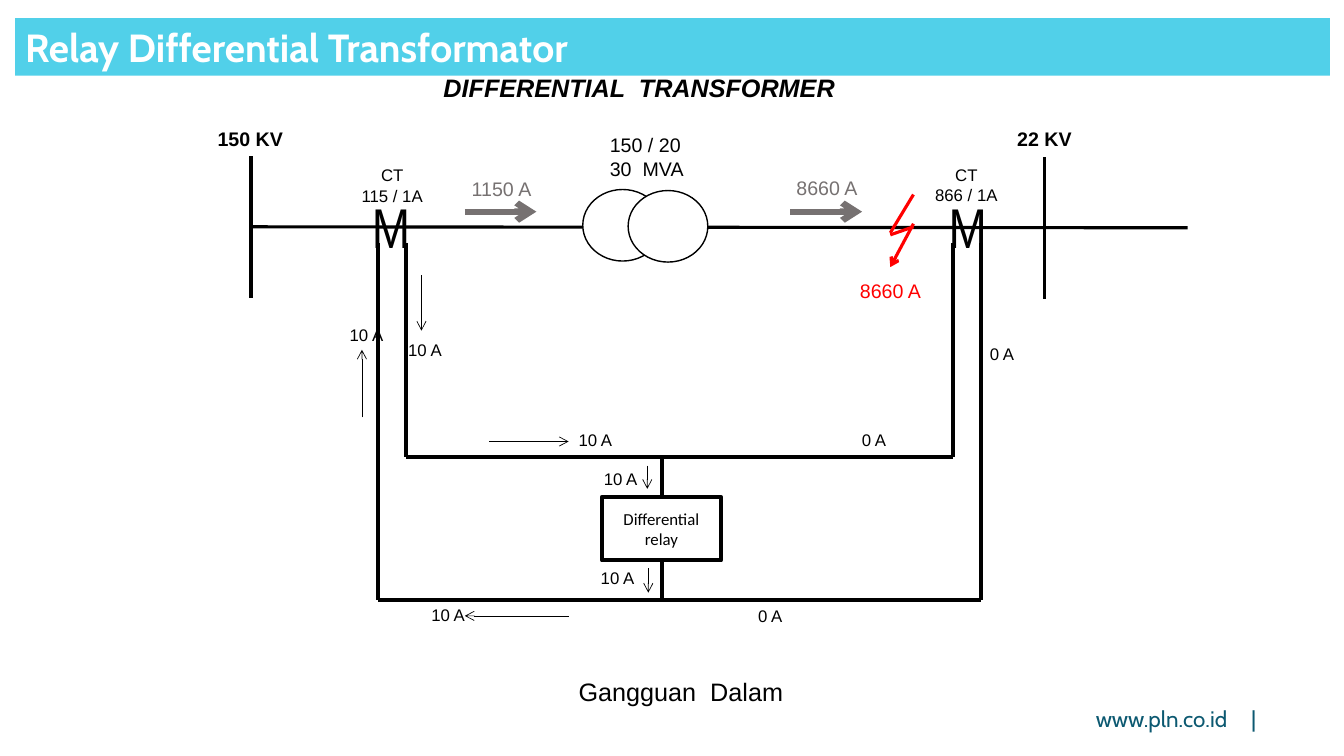
from lxml.etree import SubElement
from pptx import Presentation
from pptx.dml.color import RGBColor
from pptx.enum.shapes import MSO_CONNECTOR, MSO_SHAPE
from pptx.enum.text import MSO_ANCHOR, PP_ALIGN
from pptx.oxml.ns import qn
from pptx.util import Inches, Pt

BLACK, WHITE, GREY, RED = "000000", "FFFFFF", "767171", "FF0000"
BAND, TEAL = "51D0E9", "0C5971"

TITLE = "Relay Differential Transformator"
RELAY = "Differential relay"
HEADINGS = [
    ("DIFFERENTIAL  TRANSFORMER", 4.3, 0.67, 4.12, 0.4, dict(size=18, bold=True, italic=True)),
    ("Gangguan  Dalam", 5.64, 6.66, 2.25, 0.4, dict(size=18)),
    ("150 KV", 2.06, 1.21, 0.86, 0.34, dict(bold=True)),
    ("22 KV", 9.99, 1.21, 0.75, 0.34, dict(bold=True)),
    ("150 / 20\n30  MVA", 5.95, 1.27, 0.94, 0.57, {}),
    ("1150 A", 4.58, 1.71, 0.8, 0.34, dict(color=GREY)),
    ("8660 A", 7.8, 1.7, 0.81, 0.34, dict(color=GREY)),
    ("8660 A", 8.43, 2.72, 0.81, 0.34, dict(color=RED)),
    ("CT\n115 / 1A", 3.48, 1.59, 0.82, 0.5, dict(size=12, align=PP_ALIGN.CENTER)),
    ("CT\n866 / 1A", 9.17, 1.58, 0.83, 0.51, dict(size=12, align=PP_ALIGN.CENTER)),
    ("M", 3.59, 1.86, 0.59, 0.77, dict(size=40, font="Arial Narrow")),
    ("M", 9.31, 1.86, 0.59, 0.77, dict(size=40, font="Arial Narrow")),
    ("www.pln.co.id", 10.77, 6.95, 1.6, 0.37, dict(size=16, font="Cabin", color=TEAL, wrap=True)),
    ("|", 12.31, 6.95, 0.29, 0.37, dict(size=16, font="Cabin", color=TEAL)),
]
CURRENTS = {
    "10 A": [(4.18, 5.95), (3.37, 3.17), (3.95, 3.32), (5.64, 4.21), (5.89, 4.6), (5.86, 5.58)],
    "0 A": [(9.72, 3.36), (7.42, 5.96), (8.45, 4.21)],
}
CURRENT_WIDTHS = {"10 A": 0.54, "0 A": 0.44}

OUTER_LEFT, INNER_LEFT, INNER_RIGHT, OUTER_RIGHT = 3.75, 4.03, 9.45, 9.73
CT_BOTTOM, INNER_BOTTOM, OUTER_BOTTOM, RELAY_X = 2.41, 4.53, 5.95, 6.57

BUSBARS = [(2.49, 2.25, 11.78, 2.26), (2.49, 1.55, 2.49, 2.96), (10.36, 1.56, 10.36, 2.97)]
WIRES = [
    (INNER_LEFT, CT_BOTTOM, INNER_LEFT, INNER_BOTTOM),
    (INNER_RIGHT, CT_BOTTOM, INNER_RIGHT, INNER_BOTTOM),
    (INNER_LEFT, INNER_BOTTOM, INNER_RIGHT, INNER_BOTTOM),
    (OUTER_LEFT, CT_BOTTOM, OUTER_LEFT, OUTER_BOTTOM),
    (OUTER_RIGHT, CT_BOTTOM, OUTER_RIGHT, OUTER_BOTTOM),
    (OUTER_LEFT, OUTER_BOTTOM, OUTER_RIGHT, OUTER_BOTTOM),
    (RELAY_X, INNER_BOTTOM, RELAY_X, OUTER_BOTTOM),
]
LOAD_ARROWS = [(4.61, 2.1, 5.32, 2.1), (7.84, 2.1, 8.55, 2.1)]
CURRENT_ARROWS = [
    (4.18, 2.73, 4.18, 3.28),
    (5.64, 6.11, 4.61, 6.11),
    (3.59, 4.14, 3.59, 3.47),
    (4.85, 4.38, 5.64, 4.38),
    (6.42, 4.62, 6.42, 4.85),
    (6.43, 5.64, 6.43, 5.88),
]
FAULT_BOLT = [(9.06, 1.93, 8.83, 2.31), (8.83, 2.33, 9.06, 2.25)]
FAULT_ARROW = [(9.06, 2.22, 8.83, 2.65)]
WINDINGS = [(5.78, 1.88), (6.23, 1.89)]


def rgb(color):
    return RGBColor.from_string(color)


def write(frame, text, size=14, font="Arial", color=BLACK, bold=False, italic=False,
          align=PP_ALIGN.LEFT, anchor=MSO_ANCHOR.TOP, wrap=False):
    frame.text = text
    frame.word_wrap = wrap
    frame.vertical_anchor = anchor
    for paragraph in frame.paragraphs:
        paragraph.alignment = align
        paragraph.font.size = Pt(size)
        paragraph.font.name = font
        paragraph.font.bold = bold
        paragraph.font.italic = italic
        paragraph.font.color.rgb = rgb(color)


def label(slide, text, left, top, width, height, **style):
    box = slide.shapes.add_textbox(Inches(left), Inches(top), Inches(width), Inches(height))
    write(box.text_frame, text, **style)


def draw_lines(slide, lines, weight, color=BLACK, arrow=False):
    for ends in lines:
        line = slide.shapes.add_connector(MSO_CONNECTOR.STRAIGHT, *map(Inches, ends))
        line.line.width = Pt(weight)
        line.line.color.rgb = rgb(color)
        if arrow:
            SubElement(line.line._get_or_add_ln(), qn("a:tailEnd"), type="arrow")
        SubElement(line._element.spPr, qn("a:effectLst"))


def outlined(slide, preset, left, top, width, height, weight):
    shape = slide.shapes.add_shape(preset, Inches(left), Inches(top), Inches(width), Inches(height))
    shape.shadow.inherit = False
    shape.fill.solid()
    shape.fill.fore_color.rgb = rgb(WHITE)
    shape.line.color.rgb = rgb(BLACK)
    shape.line.width = Pt(weight)
    return shape


def main():
    deck = Presentation()
    deck.slide_width, deck.slide_height = Inches(13.33), Inches(7.5)
    slide = deck.slides.add_slide(deck.slide_layouts[5])

    title = slide.shapes.title
    title.left, title.top = Inches(0.15), Inches(0.18)
    title.width, title.height = Inches(13.04), Inches(0.57)
    title.fill.solid()
    title.fill.fore_color.rgb = rgb(BAND)
    write(title.text_frame, TITLE, size=28, font="Cabin", color=WHITE, bold=True,
          anchor=MSO_ANCHOR.MIDDLE, wrap=True)

    draw_lines(slide, BUSBARS, 2.25)
    for left, top in WINDINGS:
        outlined(slide, MSO_SHAPE.OVAL, left, top, 0.79, 0.71, 1)
    draw_lines(slide, WIRES, 3)
    relay = outlined(slide, MSO_SHAPE.RECTANGLE, 5.97, 4.93, 1.18, 0.63, 3)
    write(relay.text_frame, RELAY, size=12, font="Calibri", align=PP_ALIGN.CENTER,
          anchor=MSO_ANCHOR.MIDDLE, wrap=True)

    draw_lines(slide, LOAD_ARROWS, 4.5, GREY, arrow=True)
    draw_lines(slide, CURRENT_ARROWS, 0.5, arrow=True)
    draw_lines(slide, FAULT_BOLT, 2.25, RED)
    draw_lines(slide, FAULT_ARROW, 2.25, RED, arrow=True)

    for text, left, top, width, height, style in HEADINGS:
        label(slide, text, left, top, width, height, **style)
    for current, places in CURRENTS.items():
        for left, top in places:
            label(slide, current, left, top, CURRENT_WIDTHS[current], 0.3, size=12)

    deck.save("out.pptx")


if __name__ == "__main__":
    main()
